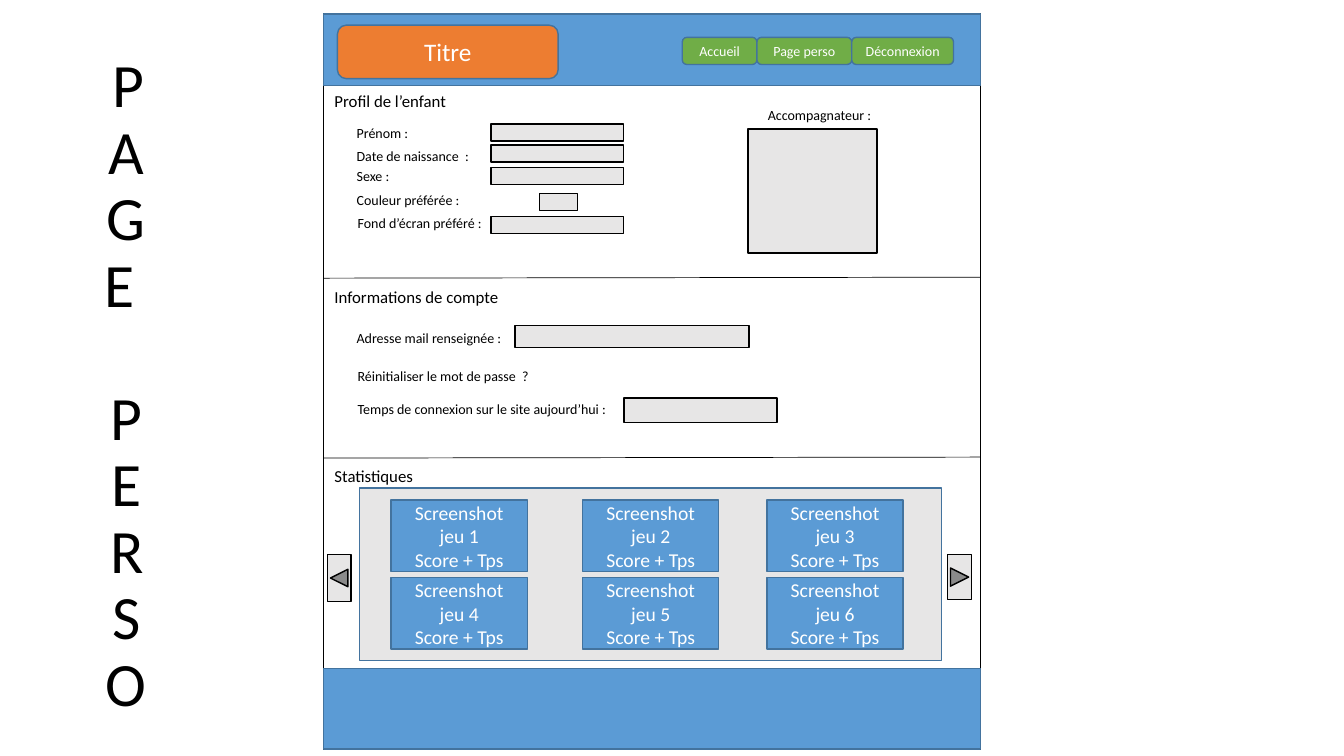
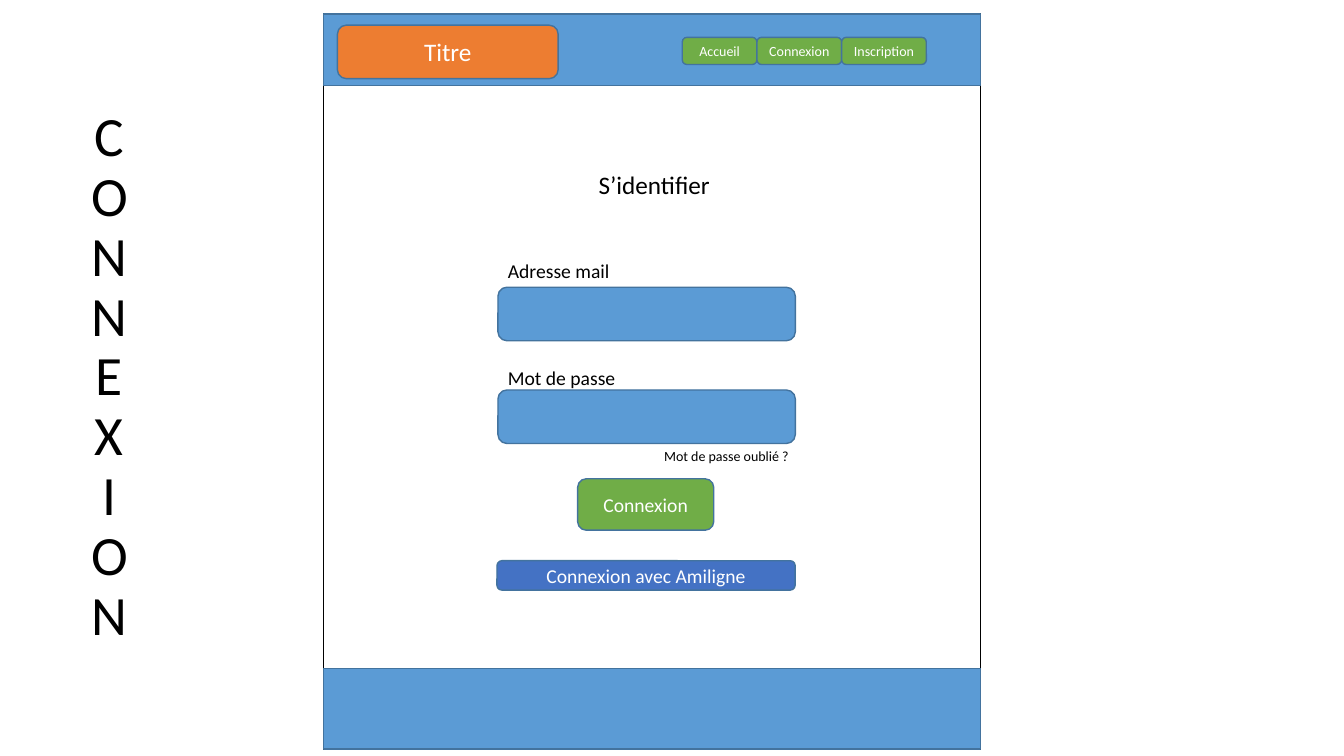
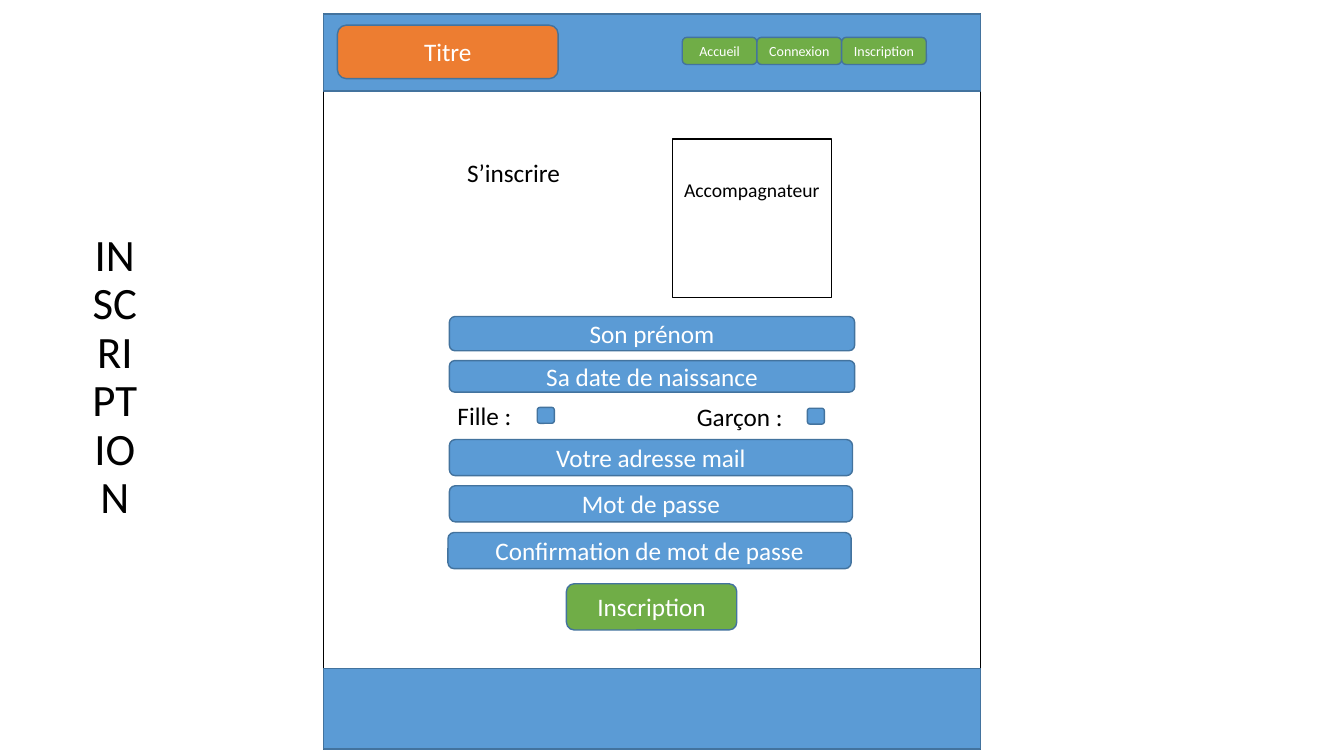
"""Build three wireframe slides of a children's games site."""
import pptx
import pptx.dml.color
import pptx.enum.shapes
import pptx.enum.text
import pptx.oxml.ns
import pptx.util
from lxml import etree

Pt = pptx.util.Pt
Hex = pptx.dml.color.RGBColor.from_string
Kind = pptx.enum.shapes.MSO_SHAPE
Align = pptx.enum.text.PP_ALIGN
Anchor = pptx.enum.text.MSO_ANCHOR
RECT, ROUND = Kind.RECTANGLE, Kind.ROUNDED_RECTANGLE
BLUE, EDGE, GREEN, ORANGE = "5B9BD5", "43739E", "70AD47", "ED7D31"
ROYAL, GREY, BLACK, WHITE = "4472C4", "E7E6E6", "000000", "FFFFFF"
LEFT, WIDE = 231, 469.5


def write(shape, text, size, color=BLACK, align=Align.LEFT, anchor=Anchor.TOP, **form):
    """Put one paragraph per line of text into a shape."""
    frame = shape.text_frame
    frame.word_wrap, frame.vertical_anchor = True, anchor
    font = {"name": "Calibri", "size": Pt(size)}
    for num, line in enumerate(text.split("\n")):
        para = frame.add_paragraph() if num else frame.paragraphs[0]
        para.alignment = align
        for key, value in form.items():
            if num or key != "space_before":
                setattr(para, key, value)
        run = para.add_run()
        run.text = line
        for key, value in font.items():
            setattr(run.font, key, value)
        run.font.color.rgb = Hex(color)


def box(slide, kind, area, fill, edge=EDGE, text="", size=18):
    """Draw a filled shape with optional centred white text."""
    shape = slide.shapes.add_shape(kind, *map(Pt, area))
    shape.shadow.inherit = False
    shape.fill.solid()
    shape.fill.fore_color.rgb = Hex(fill)
    shape.line.color.rgb = Hex(edge)
    shape.line.width = Pt(1)
    if text:
        write(shape, text, size, WHITE, Align.CENTER, Anchor.MIDDLE)


deck = pptx.Presentation()
deck.slide_width, deck.slide_height = Pt(960), Pt(540)

guest = [("Accueil", 53.3), ("Connexion", 60.5), ("Inscription", 60.5)]
member = [("Accueil", 53.3), ("Page perso", 67.7), ("Déconnexion", 72.7)]
pages = [
    ("PAGE \nPERSO", 44, (66.2, 28.8, 48.2, 495.4), 51, member),
    ("CONNEXION", 39.6, (58.3, 0, 39.6, 540), 51, guest),
    ("INSCRIPTION", 32, (58.3, 0, 47.5, 540), 55, guest),
]
slides = []
for title, size, area, head, menu in pages:
    slide = deck.slides.add_slide(deck.slide_layouts[6])
    slides.append(slide)
    box(slide, RECT, (LEFT, 10, WIDE, 525), WHITE, BLACK)
    box(slide, RECT, (LEFT, 10, WIDE, head), BLUE)
    box(slide, RECT, (LEFT, 477.4, WIDE, 57.6), BLUE)
    box(slide, ROUND, (241, 18, 157.7, 38.2), ORANGE, text="Titre")
    left = 487.4
    for name, width in menu:
        box(slide, ROUND, (left, 26.7, width, 19.4), GREEN, text=name, size=10)
        left += width
    write(slide.shapes.add_textbox(*map(Pt, area)), title, size, BLACK, Align.CENTER,
          Anchor.MIDDLE, line_spacing=0.9, space_before=Pt(47.5))

home, login, signup = slides

for area in [
    (350.6, 88.6, 95, 12.2), (350.6, 103.7, 95, 12.2), (350.6, 119.5, 95, 12.2),
    (385.2, 138.2, 27.4, 12.2), (350.6, 154.8, 95, 12.2), (534.2, 92.2, 92.2, 88.6),
    (367.9, 232.6, 167, 15.8), (445.7, 284.4, 109.4, 17.3),
]:
    box(home, RECT, area, GREY, BLACK)

for y in (198, 326.5):
    rule = home.shapes.add_connector(
        pptx.enum.shapes.MSO_CONNECTOR.STRAIGHT, Pt(LEFT), Pt(y + 0.7), Pt(LEFT + WIDE), Pt(y))
    rule.line.color.rgb = Hex(BLACK)
    rule.line.width = Pt(0.5)
    etree.SubElement(rule.element.spPr, pptx.oxml.ns.qn("a:effectLst"))

box(home, RECT, (257, 348.5, 415.4, 123.1), GREY)
for num in range(6):
    row, col = divmod(num, 3)
    area = (279.4, 416.2, 547.9)[col], 357.1 + 55.5 * row, 97.2, 51.1
    box(home, RECT, area, BLUE, text=f"Screenshot jeu {num + 1}\nScore + Tps", size=14)
box(home, Kind.ACTION_BUTTON_FORWARD_OR_NEXT, (676.8, 396, 17.3, 32.4), GREY, BLACK)
box(home, Kind.ACTION_BUTTON_BACK_OR_PREVIOUS, (234, 396, 16.6, 33.8), GREY, BLACK)

for y in (205.2, 278.6):
    box(login, ROUND, (355.7, y, 212.4, 38.2), BLUE)
box(login, ROUND, (412.6, 342, 97.2, 36.7), GREEN, text="Connexion", size=14)
box(login, ROUND, (355, 400.5, 213, 21), ROYAL, text="Connexion avec Amiligne", size=14)

for text, x, y, width, high in [
    ("Son prénom", 321, 226.1, 289.5, 24.5),
    ("Sa date de naissance", 321, 257.6, 289.5, 22.5),
    ("Votre adresse mail", 321, 314, 288, 25.8),
    ("Mot de passe", 321, 347, 288, 25.8),
    ("Confirmation de mot de passe", 320, 380.4, 288, 25.8),
]:
    box(signup, ROUND, (x, y, width, high), BLUE, text=text)
box(signup, ROUND, (404.6, 417, 121.7, 33), GREEN, text="Inscription")
for x, y in ((383.8, 291), (576.7, 291.6)):
    box(signup, ROUND, (x, y, 12.2, 11.4), BLUE)
box(signup, RECT, (480.2, 99.4, 113.8, 113), WHITE, BLACK)

MID = Align.CENTER
for slide, size, align, notes in [
    (home, 12, Align.LEFT, [
        ("Profil de l’enfant", 231.8, 61.2, 110),
        ("Informations de compte", 231.8, 201, 152.6),
        ("Statistiques", 231.8, 329, 80)]),
    (home, 10, Align.LEFT, [
        ("Prénom :", 247.7, 85.7, 60),
        ("Date de naissance  :", 247.7, 101.5, 100),
        ("Sexe :", 247.7, 115.9, 60),
        ("Couleur préférée :", 247.7, 133.2, 95),
        ("Fond d’écran préféré :", 248.4, 150, 112),
        ("Accompagnateur :", 541.4, 72.7, 95),
        ("Adresse mail renseignée :", 247.7, 231.8, 122),
        ("Réinitialiser le mot de passe  ?", 248.4, 258.9, 145),
        ("Temps de connexion sur le site aujourd’hui :", 248.4, 282.5, 198)]),
    (login, 14, Align.LEFT, [
        ("Adresse mail", 355.7, 181.4, 115.2),
        ("Mot de passe", 355.7, 258, 115.2)]),
    (login, 10, Align.LEFT, [("Mot de passe oublié ?", 467.3, 316.1, 106)]),
    (login, 18, MID, [("S’identifier", 382.3, 117.4, 170)]),
    (signup, 18, MID, [("S’inscrire", 294.5, 108.7, 144.7)]),
    (signup, 14, MID, [("Accompagnateur", 480.2, 123.8, 113.8)]),
    (signup, 18, Align.LEFT, [
        ("Fille :", 319.7, 282.5, 65),
        ("Garçon :", 490.7, 283, 81.4)]),
]:
    for text, x, y, width in notes:
        area = x, y, width, 1.2 * size + 7.2
        write(slide.shapes.add_textbox(*map(Pt, area)), text, size, align=align)

deck.save("out.pptx")
